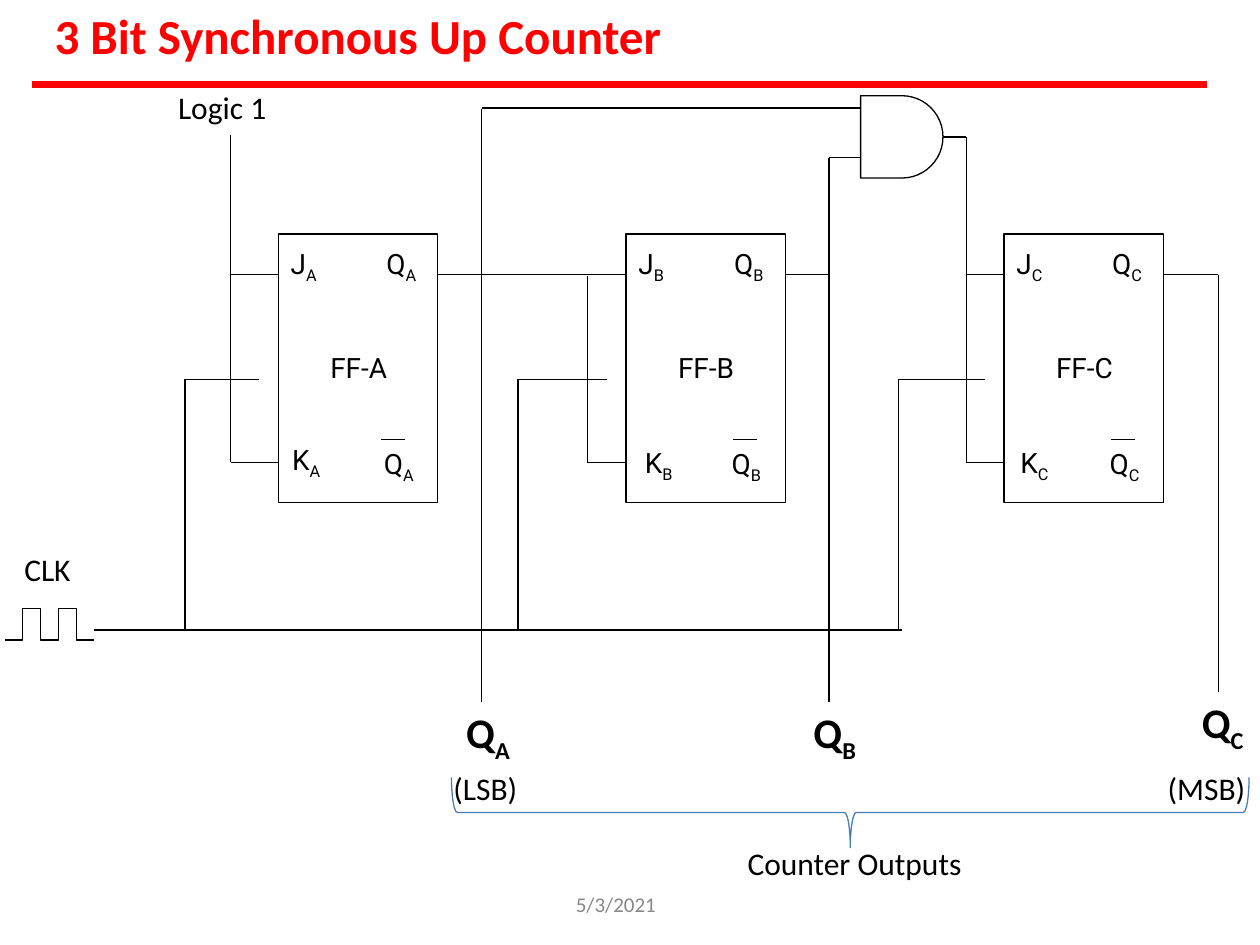
from dataclasses import dataclass

from lxml import etree
from pptx import Presentation
from pptx.dml.color import RGBColor
from pptx.enum.shapes import MSO_CONNECTOR as Connector, MSO_SHAPE as Shape
from pptx.oxml.ns import qn
from pptx.util import Cm, Pt

BLACK = RGBColor(0x00, 0x00, 0x00)
RED = RGBColor(0xFF, 0x00, 0x00)
GRAY = RGBColor(0x88, 0x88, 0x88)
BLUE = RGBColor(0x49, 0x7D, 0xBA)

PIN_Y = 0.82
CLOCK_Y = 2.93
K_Y = 4.6
BUS_Y = 7.98
CLOCK_END = -0.38


@dataclass
class Stage:
    letter: str
    left: float
    feed_x: float
    feed_top: float
    j_start: float
    clock_x: float
    output_x: float
    output_top: float
    output_bottom: float
    k_left: float
    k_top: float
    bar_left: float


STAGES = [
    Stage("A", 5.61, -0.96, -2, -0.96, -1.88, 4.1, -2.52, 9.43, 0.18, 4.17, 2.08),
    Stage("B", 12.62, -0.78, 0.84, -2.91, -2.18, 4.09, -1.54, 9.43, 0.28, 4.24, 2.16),
    Stage("C", 20.24, -0.76, -1.95, -0.76, -2.13, 4.32, 0.82, 9.22, 0.23, 4.24, 2.16),
]


def add_wire(page, x1, y1, x2, y2, color=BLACK, width=0.75):
    wire = page.shapes.add_connector(Connector.STRAIGHT, Cm(x1), Cm(y1), Cm(x2), Cm(y2))
    wire.line.color.rgb = color
    wire.line.width = Pt(width)
    etree.SubElement(wire._element.spPr, qn("a:effectLst"))


def style_outline(shape, color=BLACK):
    shape.shadow.inherit = False
    shape.fill.background()
    shape.line.color.rgb = color
    shape.line.width = Pt(0.75)


def add_frame(page, left, top, width, height, inset=0.03):
    box = page.shapes.add_textbox(Cm(left), Cm(top), Cm(width), Cm(height))
    frame = box.text_frame
    frame.word_wrap = True
    frame.margin_left = frame.margin_right = frame.margin_bottom = 0
    frame.margin_top = Cm(inset)
    return frame


def write(para, text, size, font="Calibri", color=BLACK, bold=False, indent=0.03, sub=""):
    para._p.get_or_add_pPr().set("marL", str(Cm(indent)))
    para.add_run().text = text
    if sub:
        span = para.add_run()
        span.text = sub
        span._r.get_or_add_rPr().set("baseline", "-25000")
    para.font.name = font
    para.font.size = Pt(size)
    para.font.bold = bold
    para.font.color.rgb = color


def add_label(page, left, top, width, height, text, size, **style):
    para = add_frame(page, left, top, width, height).paragraphs[0]
    write(para, text, size, **style)
    return para


def draw_header(page, left, top, width):
    add_label(page, left + 0.43, top, 13, 1.27, "3 Bit Synchronous Up Counter", 28,
              color=RED, bold=True)
    add_wire(page, left, top + 1.62, left + width, top + 1.62, RED, 4)


def draw_flip_flop(page, stage, top, width, height):
    left, letter = stage.left, stage.letter
    body = page.shapes.add_shape(Shape.RECTANGLE, Cm(left), Cm(top), Cm(width), Cm(height))
    style_outline(body)
    add_label(page, left + 1.02, top + 2.31, 1.25, 0.76, f"FF-{letter}", 16, font="Roboto")
    pins = [("J", 0.15, 0.23), ("Q", 2.08, 0.23), ("Q", 2.03, 4.25),
            ("K", stage.k_left, stage.k_top)]
    for pin, dx, dy in pins:
        add_label(page, left + dx, top + dy, 0.86, 0.76, pin, 16,
                  font="Roboto", indent=0.1, sub=letter)
    wires = [
        (stage.bar_left, 4.14, stage.bar_left + 0.48, 4.14),
        (stage.feed_x, stage.feed_top, stage.feed_x, K_Y),
        (stage.j_start, PIN_Y, 0, PIN_Y),
        (stage.feed_x, K_Y, 0, K_Y),
        (stage.clock_x, CLOCK_Y, CLOCK_END, CLOCK_Y),
        (stage.clock_x, CLOCK_Y, stage.clock_x, BUS_Y),
        (width, PIN_Y, stage.output_x, PIN_Y),
        (stage.output_x, stage.output_top, stage.output_x, stage.output_bottom),
    ]
    for x1, y1, x2, y2 in wires:
        add_wire(page, left + x1, top + y1, left + x2, top + y2)


def draw_gate(page, left, top, size):
    gate = page.shapes.add_shape(Shape.FLOWCHART_DELAY, Cm(left), Cm(top), Cm(size), Cm(size))
    style_outline(gate)
    add_wire(page, left - 7.64, top + 0.25, left, top + 0.25)
    add_wire(page, left - 0.64, top + 1.25, left, top + 1.25)
    add_wire(page, left + size, top + 0.83, left + 2.13, top + 0.83)


def draw_clock(page, left, top, bus_end):
    add_label(page, left + 0.36, top, 1.1, 0.84, "CLK", 18)
    step, low, high = 0.36, top + 1.85, top + 1.22
    points = []
    for index, level in enumerate([low, high, low, high, low]):
        points += [(left + index * step, level), (left + (index + 1) * step, level)]
    points = [(Cm(x), Cm(y)) for x, y in points]
    builder = page.shapes.build_freeform(*points[0])
    builder.add_line_segments(points[1:], close=False)
    style_outline(builder.convert_to_shape())
    add_wire(page, left + 5 * step, top + 1.65, bus_end, top + 1.65)


def draw_output(page, left, top, width, inset, letter, indent, note="", gap=0):
    frame = add_frame(page, left, top, width, 2.1, inset)
    write(frame.paragraphs[0], "Q", 24, bold=True, indent=indent, sub=letter)
    if note:
        para = frame.add_paragraph()
        write(para, note, 18, indent=0.1)
        para.space_before = Pt(gap)


def draw_outputs(page, left, top, width):
    draw_output(page, left - 0.06, top, 1.6, 0.15, "A", 0.36, "(LSB)", 2.7)
    draw_output(page, left + 7.2, top + 0.12, 1.2, 0.03, "B", 0.1)
    draw_output(page, left + 14.34, top - 0.51, 1.85, 0.46, "C", 0.79, "(MSB)", 8.7)
    depth = 1.42
    brace = page.shapes.add_shape(
        Shape.RIGHT_BRACE, Cm(left + (width - depth) / 2),
        Cm(top + 1.57 + (depth - width) / 2), Cm(depth), Cm(width))
    brace.rotation = 90
    style_outline(brace, BLUE)
    add_label(page, left + 5.94, top + 2.89, 4.5, 0.84, "Counter Outputs", 18)


def main():
    deck = Presentation()
    deck.slide_width, deck.slide_height = Cm(25.4), Cm(19.05)
    page = deck.slides.add_slide(deck.slide_layouts[6])
    draw_header(page, 0.64, 0.08, 23.7)
    add_label(page, 3.56, 1.75, 1.95, 0.84, "Logic 1", 18)
    for stage in STAGES:
        draw_flip_flop(page, stage, 4.72, 3.21, 5.41)
    draw_gate(page, 17.35, 1.93, 1.66)
    draw_clock(page, 0.1, 11.05, 18.19)
    draw_outputs(page, 9.1, 14.1, 16.08)
    date = add_label(page, 11.58, 17.93, 2.24, 0.48, "5/3/2021", 12, color=GRAY)
    date.line_spacing = 1.03
    deck.save("out.pptx")


if __name__ == "__main__":
    main()
